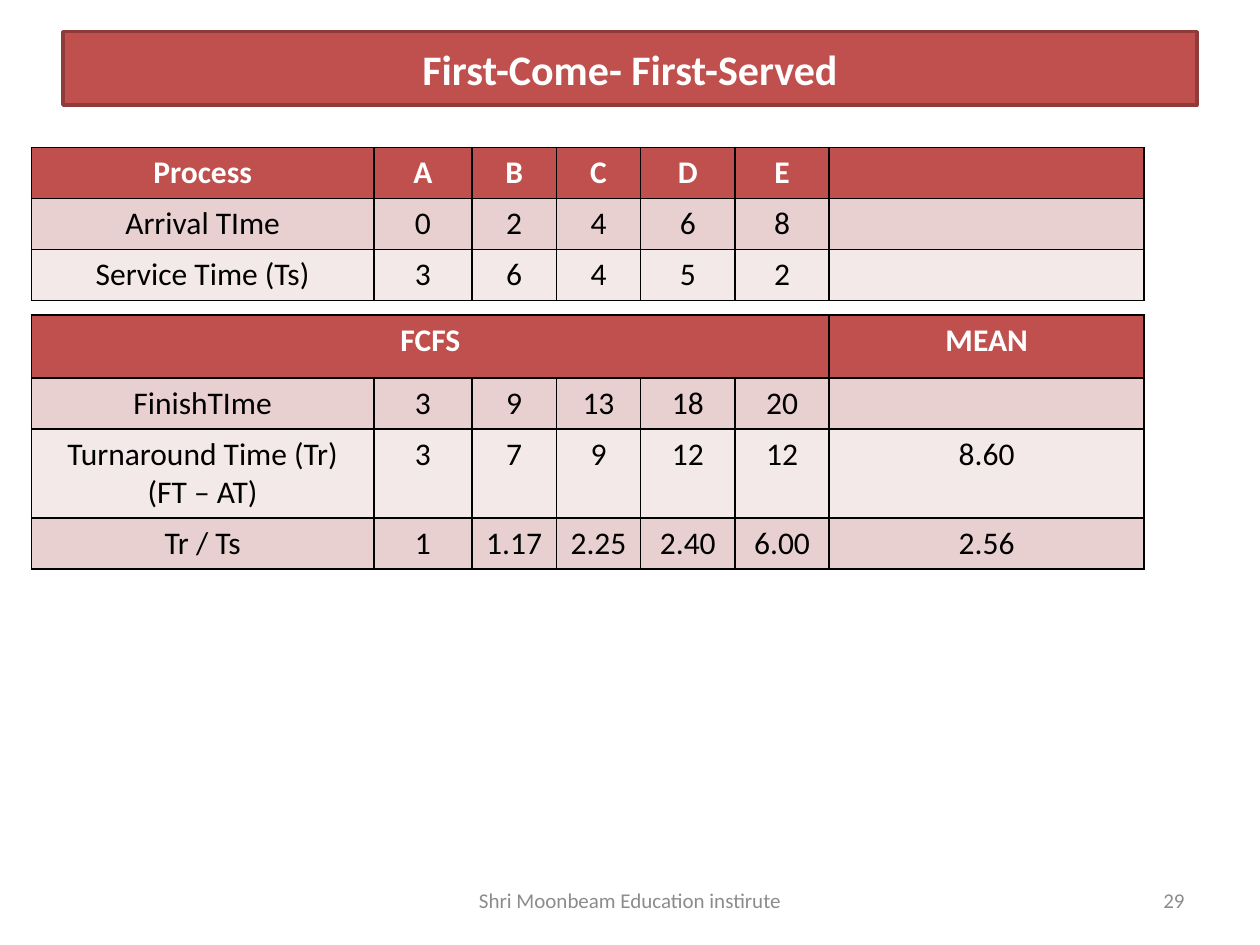
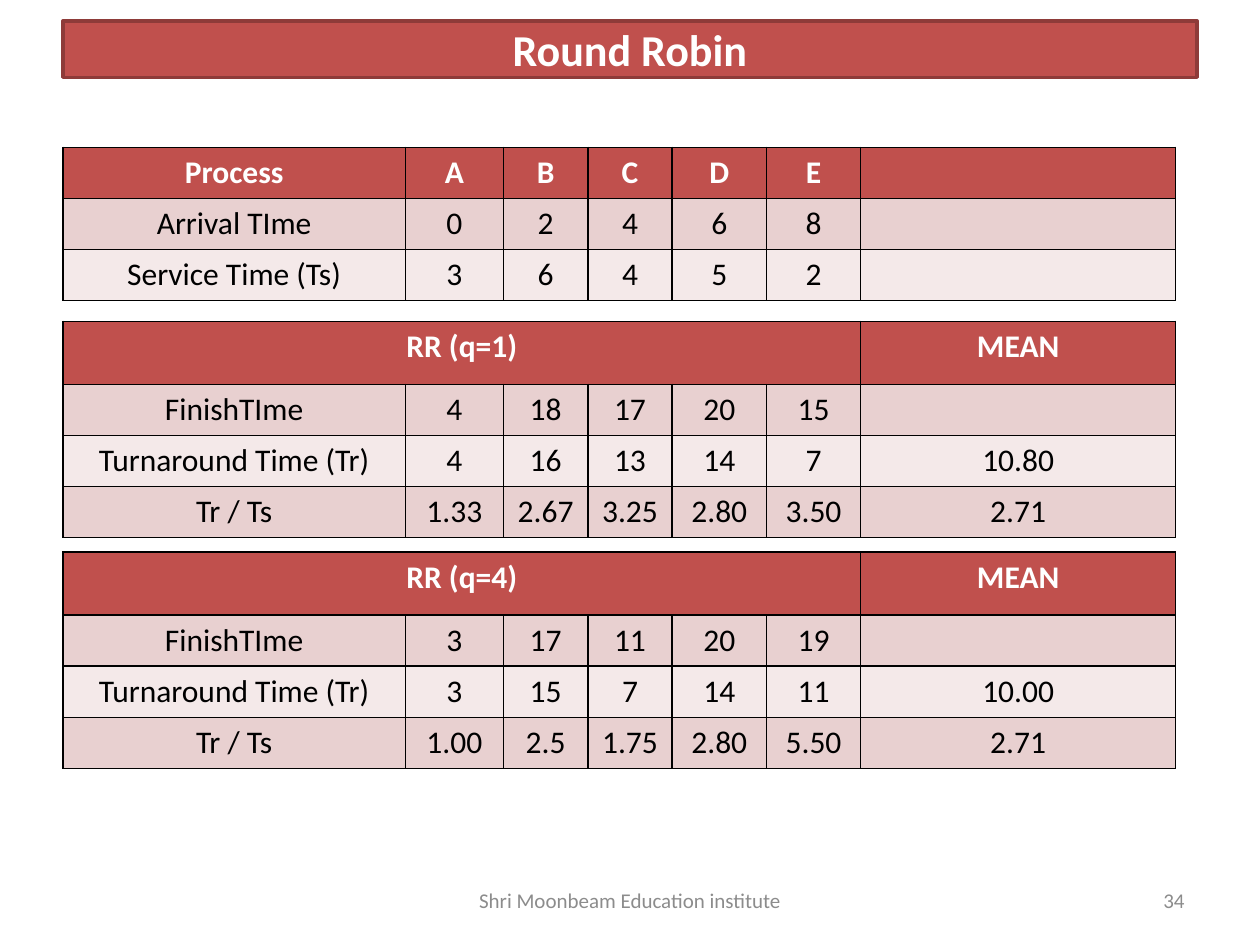
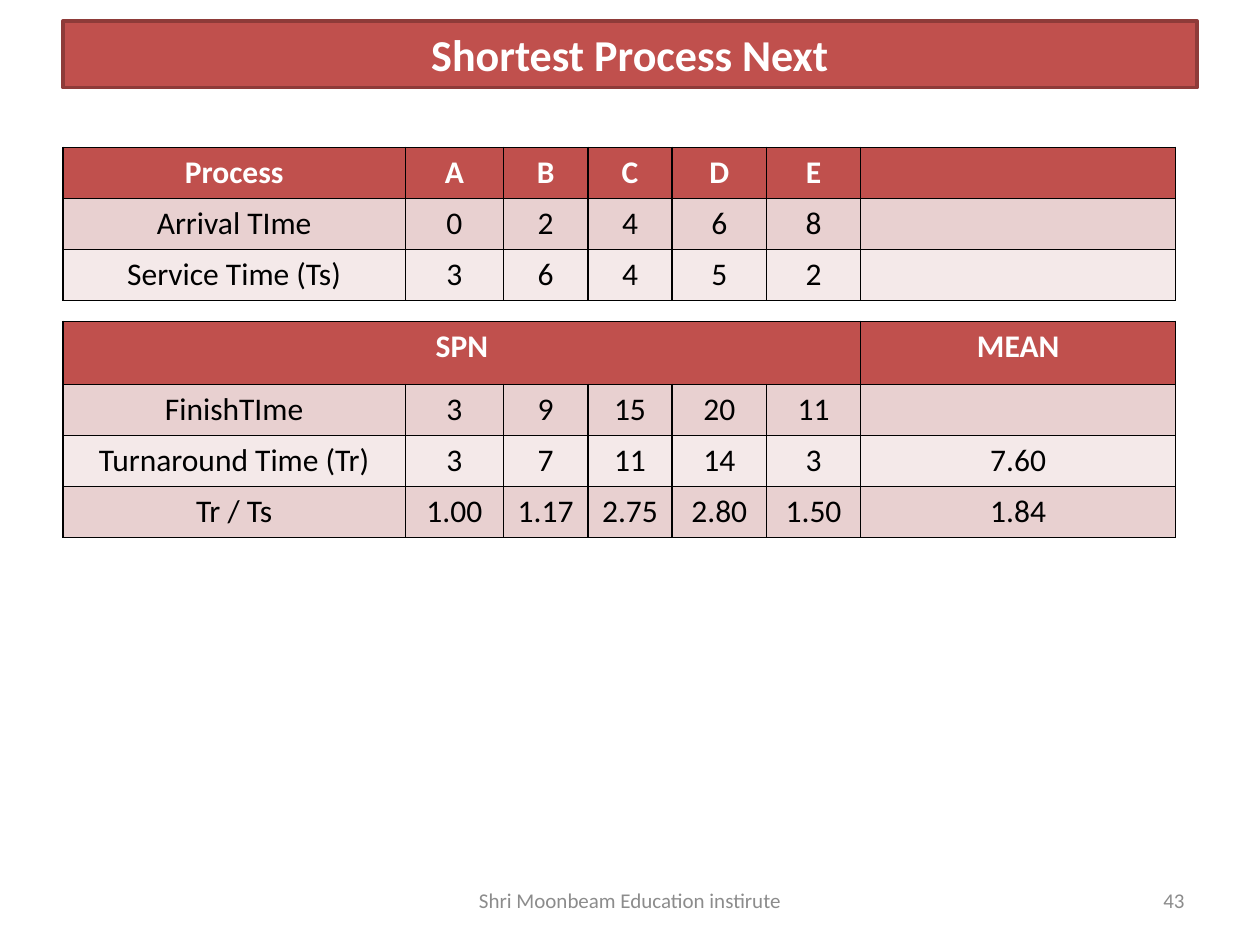
import pptx
import pptx.dml.color
import pptx.enum.shapes
import pptx.enum.text
import pptx.oxml.xmlchemy
import pptx.util
import lxml.etree
from pptx.oxml.ns import qn

Cm = pptx.util.Cm
Pt = pptx.util.Pt
ALIGN = pptx.enum.text.PP_ALIGN

COLORS = {
    "red": "C0504D",
    "dark red": "8E3B39",
    "pink": "E8D0D0",
    "pale pink": "F4E9E9",
    "white": "FFFFFF",
    "black": "000000",
    "gray": "8C8C8C",
}
FONT = "Calibri"
MARGIN = 1.27
COLUMN_WIDTHS = [6.9, 1.98, 1.7, 1.7, 1.9, 1.9, 6.35]
ROW_HEIGHT = 1.03
RESULT_HEADER_HEIGHT = 1.27
PROCESS_TABLE_TOP = 2.97

PROCESS_ROWS = [
    ["Process", "A", "B", "C", "D", "E", ""],
    ["Arrival TIme", "0", "2", "4", "6", "8", ""],
    ["Service Time (Ts)", "3", "6", "4", "5", "2", ""],
]


def color(name):
    return pptx.dml.color.RGBColor.from_string(COLORS[name])


def write(frame, text, size=18, ink="black", bold=False, align=ALIGN.CENTER):
    """Fill a text frame, with one paragraph for each line of text."""
    for index, line in enumerate(text.split("\n")):
        para = frame.add_paragraph() if index else frame.paragraphs[0]
        para.alignment = align
        span = para.add_run()
        span.text = line
        span.font.name = FONT
        span.font.size = Pt(size)
        span.font.bold = bold
        span.font.color.rgb = color(ink)


def add_title(page, text, top, height, size):
    box = page.shapes.add_shape(
        pptx.enum.shapes.MSO_SHAPE.RECTANGLE,
        Cm(MARGIN), Cm(top), Cm(22.86), Cm(height))
    box.shadow.inherit = False
    box.fill.solid()
    box.fill.fore_color.rgb = color("red")
    box.line.color.rgb = color("dark red")
    box.line.width = Pt(2)
    box.text_frame.word_wrap = True
    box.text_frame.vertical_anchor = pptx.enum.text.MSO_ANCHOR.MIDDLE
    write(box.text_frame, text, size=size, ink="white", bold=True)


def add_footer_text(page, text, left, width, align):
    box = page.shapes.add_textbox(Cm(left), Cm(17.65), Cm(width), Cm(1.01))
    box.text_frame.word_wrap = True
    box.text_frame.vertical_anchor = pptx.enum.text.MSO_ANCHOR.MIDDLE
    write(box.text_frame, text, size=12, ink="gray", align=align)


def add_borders(cell):
    properties = cell._tc.get_or_add_tcPr()
    for side in ("lnL", "lnR", "lnT", "lnB"):
        line = lxml.etree.SubElement(properties, qn(f"a:{side}"), w=str(Pt(1)))
        fill = lxml.etree.SubElement(line, qn("a:solidFill"))
        lxml.etree.SubElement(fill, qn("a:srgbClr"), val=COLORS["black"])


def add_table(page, rows, left, top, header_height=ROW_HEIGHT):
    """Add a banded table; a row with a two-line label is made taller."""
    heights = [header_height] + [
        1.79 if "\n" in row[0] else ROW_HEIGHT for row in rows[1:]]
    table = page.shapes.add_table(
        len(rows), len(COLUMN_WIDTHS), Cm(left), Cm(top),
        Cm(sum(COLUMN_WIDTHS)), Cm(sum(heights))).table
    for column, width in zip(table.columns, COLUMN_WIDTHS):
        column.width = Cm(width)
    for row_index, (row, height) in enumerate(zip(rows, heights)):
        table.rows[row_index].height = Cm(height)
        header = row_index == 0
        band = "red" if header else ("pale pink", "pink")[row_index % 2]
        for column_index, text in enumerate(row):
            cell = table.cell(row_index, column_index)
            add_borders(cell)
            cell.fill.solid()
            cell.fill.fore_color.rgb = color(band)
            if text:
                write(cell.text_frame, text, bold=header,
                      ink="white" if header else "black")
    return table


def add_result_table(page, policy, finish, turnaround, ratio, left, top,
                     turnaround_label="Turnaround Time (Tr)"):
    """Add the times of one scheduling policy; each list ends with its mean."""
    rows = [
        [policy, "", "", "", "", "", "MEAN"],
        ["FinishTIme", *finish, ""],
        [turnaround_label, *turnaround],
        ["Tr / Ts", *ratio],
    ]
    table = add_table(page, rows, left, top, RESULT_HEADER_HEIGHT)
    table.cell(0, 0).merge(table.cell(0, 5))


def add_page(deck, title, number, title_top=0.42, title_height=1.35,
             title_size=25.2, table_left=MARGIN, institute="instirute"):
    page = deck.slides.add_slide(deck.slide_layouts[6])
    add_title(page, title, title_top, title_height, title_size)
    add_table(page, PROCESS_ROWS, table_left, PROCESS_TABLE_TOP)
    add_footer_text(page, number, 18.2, 5.93, ALIGN.RIGHT)
    add_footer_text(page, f"Shri Moonbeam Education {institute}",
                    8.68, 8.04, ALIGN.CENTER)
    return page


def main():
    deck = pptx.Presentation()
    deck.slide_width = Cm(25.4)
    deck.slide_height = Cm(19.05)

    left = MARGIN / 2
    page = add_page(deck, "First-Come- First-Served", "29", title_top=0.64,
                    title_height=1.48, title_size=24, table_left=left)
    add_result_table(
        page, "FCFS",
        finish=["3", "9", "13", "18", "20"],
        turnaround=["3", "7", "9", "12", "12", "8.60"],
        ratio=["1", "1.17", "2.25", "2.40", "6.00", "2.56"],
        left=left, top=6.35,
        turnaround_label="Turnaround Time (Tr)\n(FT – AT)")

    page = add_page(deck, "Round Robin", "34", title_height=1.14,
                    institute="institute")
    add_result_table(
        page, "RR (q=1)",
        finish=["4", "18", "17", "20", "15"],
        turnaround=["4", "16", "13", "14", "7", "10.80"],
        ratio=["1.33", "2.67", "3.25", "2.80", "3.50", "2.71"],
        left=MARGIN, top=6.48)
    add_result_table(
        page, "RR (q=4)",
        finish=["3", "17", "11", "20", "19"],
        turnaround=["3", "15", "7", "14", "11", "10.00"],
        ratio=["1.00", "2.5", "1.75", "2.80", "5.50", "2.71"],
        left=MARGIN, top=11.13)

    page = add_page(deck, "Shortest Process Next", "43")
    add_result_table(
        page, "SPN",
        finish=["3", "9", "15", "20", "11"],
        turnaround=["3", "7", "11", "14", "3", "7.60"],
        ratio=["1.00", "1.17", "2.75", "2.80", "1.50", "1.84"],
        left=MARGIN, top=6.48)

    deck.save("out.pptx")


if __name__ == "__main__":
    main()
